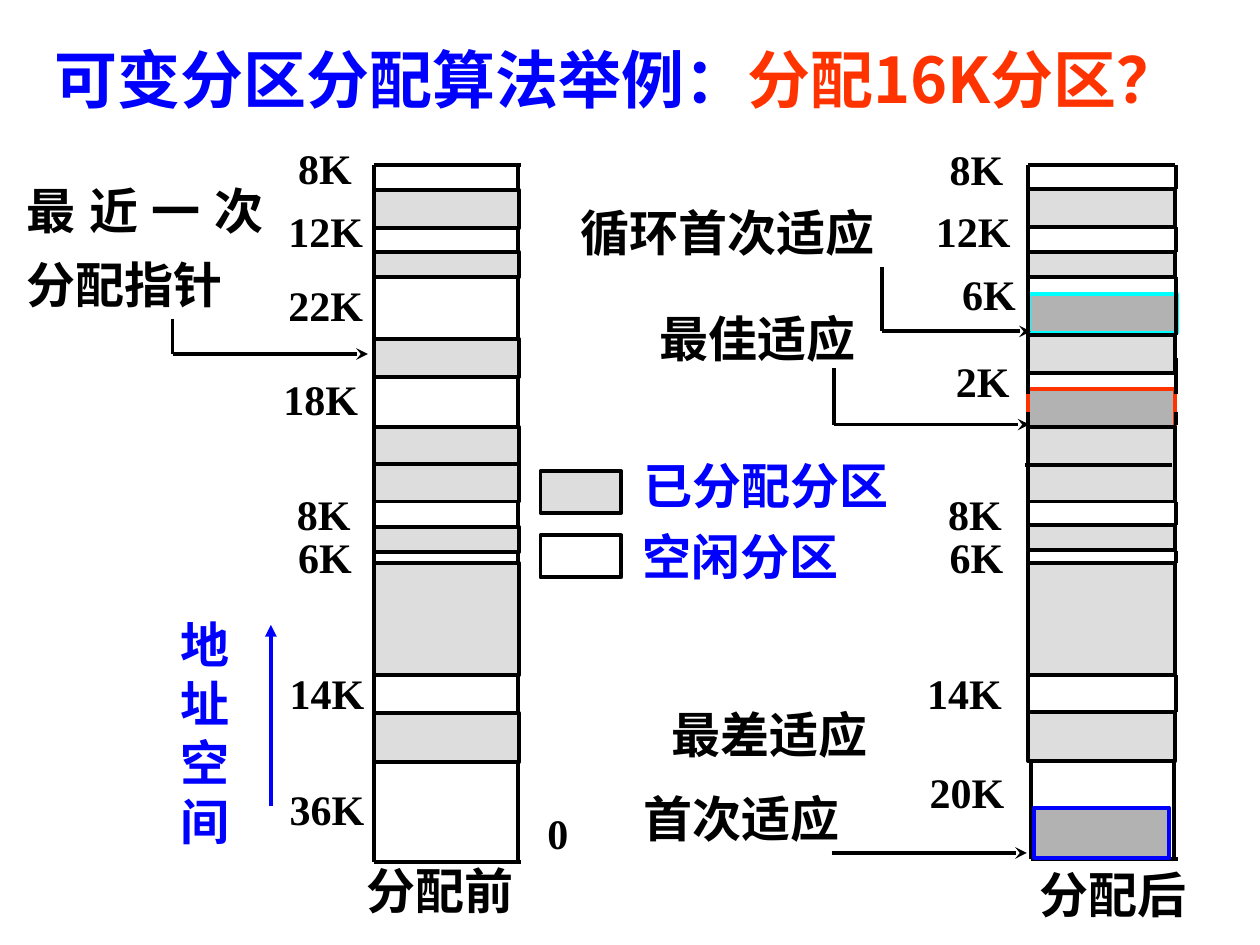
from pptx import Presentation
from pptx.dml.color import RGBColor
from pptx.enum.shapes import MSO_CONNECTOR as Connector, MSO_SHAPE as Preset
from pptx.enum.text import MSO_ANCHOR as Anchor, MSO_AUTO_SIZE as AutoSize, PP_ALIGN as Align
from pptx.oxml.ns import qn
from pptx.util import Pt
from lxml.etree import SubElement

COLORS = {
    "black": "000000", "white": "FFFFFF", "blue": "0000FF", "red": "FF3300",
    "cyan": "00FFFF", "allocated": "DDDDDD", "new": "B2B2B2",
}

deck = Presentation()
deck.slide_width, deck.slide_height = Pt(720), Pt(540)
slide = deck.slides.add_slide(deck.slide_layouts[6])
shapes = slide.shapes


def add_block(x, y, width, height, fill, outline="black"):
    block = shapes.add_shape(Preset.RECTANGLE, Pt(x), Pt(y), Pt(width), Pt(height))
    block.shadow.inherit = False
    block.fill.solid()
    block.fill.fore_color.rgb = RGBColor.from_string(COLORS[fill])
    block.line.color.rgb = RGBColor.from_string(COLORS[outline])
    block.line.width = Pt(2.25)


def add_line(x1, y1, x2, y2, color="black", arrow=None):
    line = shapes.add_connector(Connector.STRAIGHT, Pt(x1), Pt(y1), Pt(x2), Pt(y2))
    line.line.color.rgb = RGBColor.from_string(COLORS[color])
    line.line.width = Pt(2.25)
    properties = line._element.spPr
    if arrow:
        SubElement(properties.find(qn("a:ln")), qn("a:tailEnd"), type=arrow)
    SubElement(properties, qn("a:effectLst"))


add_block(588.2, 167.8, 84.2, 22.3, "new", "cyan")
add_block(587.5, 222.5, 84.2, 21.6, "new", "red")

title = shapes.add_textbox(Pt(23.8), Pt(18), Pt(666), Pt(54)).text_frame
title.word_wrap = True
title.vertical_anchor = Anchor.MIDDLE
heading = title.paragraphs[0]
heading.font.name, heading.font.size, heading.font.bold = "Noto Sans CJK SC", Pt(36), True
for words, color in [("可变分区分配算法举例：", "blue"), ("分配16K分区？", "red")]:
    run = heading.add_run()
    run.text = words
    run.font.color.rgb = RGBColor.from_string(COLORS[color])

for legend_y, fill in [(269.3, "allocated"), (306, "white")]:
    add_block(308.9, legend_y, 46.1, 23.8, fill)

before = [(108.7, 21.6), (144, 14.4), (193.7, 21.6), (244.1, 42.5),
          (301, 14.4), (321.8, 64.1), (407.5, 28.1)]
after = [(108, 21.6), (144, 14.4), (191.5, 21.6), (244.1, 42.5),
         (300.2, 14.4), (321.8, 64.1), (406.8, 28.1)]
columns = [
    (213.8, 82.8, 82.1, before, 492.5, 265, 0, 0),
    (587.5, 84.2, 84.6, after, 491, 265.7, -1.8, 1.4),
]
top = 94.3
for left, width, span, blocks, bottom, divider, divider_shift, base_shift in columns:
    for y, height in blocks:
        add_block(left, y, width, height, "allocated")
    ends = [top] + [y + height for y, height in blocks[:-1]]
    free = list(zip(ends, [y for y, height in blocks]))
    if blocks is after:
        free[3:4] = [(204.5, 225.4), (235.4, 242.6)]
    for start, end in free:
        for x in (left, left + span):
            add_line(x, start, x, end)
    add_line(left, top, left + 84.2, top)
    add_line(left + divider_shift, divider, left + divider_shift + 84.2, divider)
    base = left + base_shift
    for x in (base, base + 82.1):
        add_line(x, sum(blocks[-1]), x, bottom)
    add_line(base, bottom, base + 84.2, bottom)

add_block(591.1, 461.5, 77, 28.8, "new", "blue")

for x, y, drop, tip in [(98.6, 202.3, 182.2, 210.2), (476.6, 242.6, 210.2, 588.2),
                        (504, 189.4, 152.6, 589)]:
    add_line(x, drop, x, y)
    add_line(x, y, tip, y, arrow="stealth")
add_line(475.2, 487.4, 586.8, 487.4, arrow="stealth")
add_line(154.8, 460.8, 154.8, 357.1, "blue", "triangle")

size_labels = [
    ("8K", 162.7, 77.8), ("12K", 157, 113.8), ("22K", 157, 156.2), ("18K", 154.1, 210.2),
    ("6K", 162.7, 300.2), ("8K", 162, 275.8), ("14K", 157.7, 378), ("36K", 157.7, 444.2),
    ("8K", 535, 78.5), ("12K", 527, 113.8), ("6K", 542.2, 149.8), ("2K", 538.6, 199.4),
    ("6K", 535, 300.2), ("8K", 534.2, 275.8), ("14K", 522, 378), ("20K", 523.4, 434.2),
    ("0", 305.3, 457.9),
]
label_widths = {1: 26.6, 2: 45.4, 3: 57.6}
captions = [(words, x, y, label_widths[len(words)], 36, 24, "black", Align.RIGHT)
            for words, x, y in size_labels]
captions += [
    (words, x, y, width, 41, 28, color, align) for words, x, y, width, color, align in [
        ("空闲分区", 360, 297.4, 126.7, "blue", Align.JUSTIFY),
        ("已分配分区", 360.7, 257, 154.1, "blue", Align.JUSTIFY),
        ("分配前", 202.3, 488.2, 98.6, "black", Align.CENTER),
        ("分配后", 586.8, 490.3, 98.6, "black", Align.CENTER),
        ("最佳适应", 369.4, 172.8, 126.7, "black", Align.CENTER),
        ("最差适应", 376.6, 398.9, 126.7, "black", Align.JUSTIFY),
        ("首次适应", 360, 447.1, 126.7, "black", Align.RIGHT),
        ("循环首次适应", 324.7, 112.3, 182.2, "black", Align.CENTER),
    ]
]
captions += [
    ("最近一次分配指针", 7.9, 91.4, 149.8, 91.4, 28, "black", Align.JUSTIFY),
    ("地址空间", 95.8, 347.8, 41.8, 141.8, 28, "blue", Align.LEFT),
]
for words, x, y, width, height, size, color, align in captions:
    frame = shapes.add_textbox(Pt(x), Pt(y), Pt(width), Pt(height)).text_frame
    frame.word_wrap = height > 41
    frame.auto_size = AutoSize.SHAPE_TO_FIT_TEXT
    caption = frame.paragraphs[0]
    caption.text = words
    caption.alignment = align
    caption.font.name, caption.font.size, caption.font.bold = "Times New Roman", Pt(size), True
    caption.font.color.rgb = RGBColor.from_string(COLORS[color])
    if words == "最近一次分配指针":
        caption.line_spacing = 1.25
    if words == "地址空间":
        caption.space_before = Pt(17.5)

deck.save("out.pptx")
